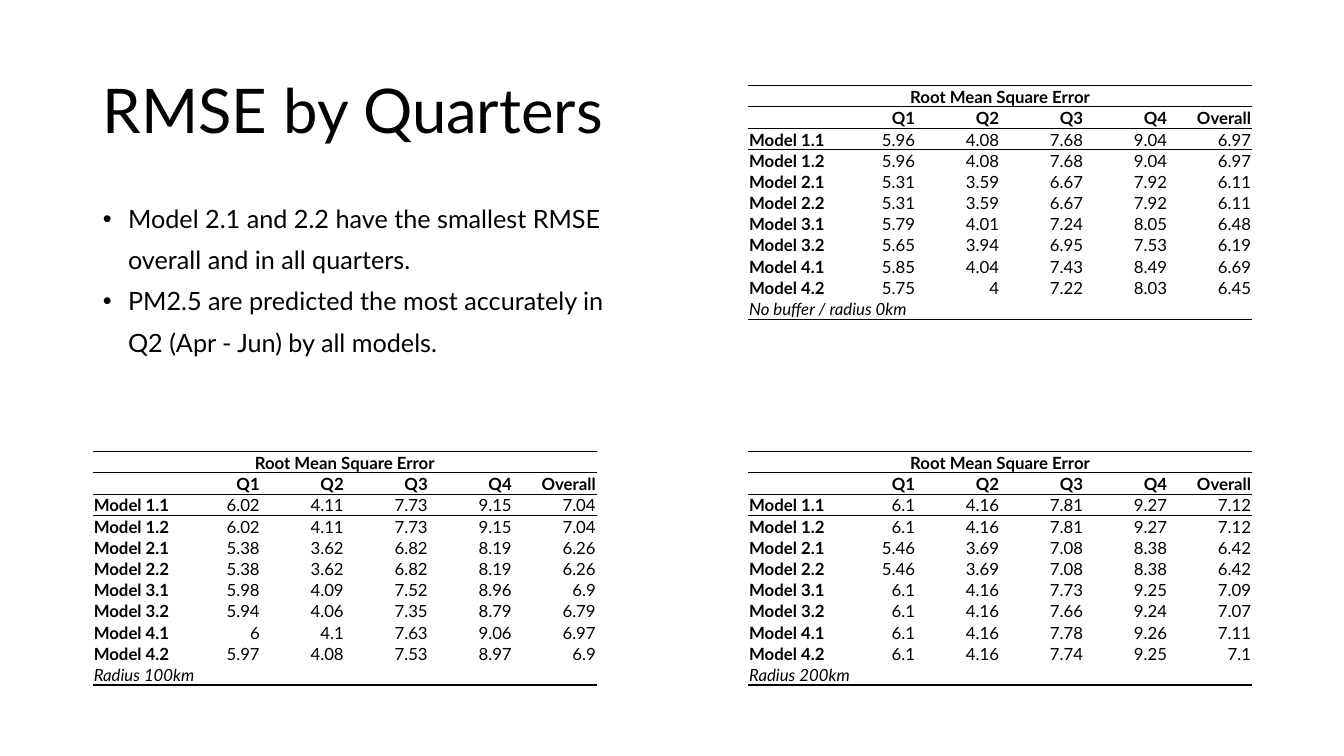
from dataclasses import dataclass

from lxml import etree
from pptx import Presentation
from pptx import util as u
from pptx.dml.color import RGBColor
from pptx.enum import text
from pptx.oxml import ns


@dataclass(frozen=True)
class Theme:
    font: str = "Lato"
    ink: str = "000000"
    title: int = 44
    body: int = 18
    cell: int = 12
    rule: int = 1


THEME = Theme()
NO_STYLE = "{2D5ABB26-0587-4C30-8999-92F81FD0307C}"
LEFT, RIGHT = text.PP_ALIGN.LEFT, text.PP_ALIGN.RIGHT

BULLETS = [
    ("Model 2.1 and 2.2 have the smallest RMSE", True),
    ("overall and in all quarters.", False),
    ("PM2.5 are predicted the most accurately in", True),
    ("Q2 (Apr - Jun) by all models.", False),
]

HEADING = "Root Mean Square Error"
QUARTERS = ["", "Q1", "Q2", "Q3", "Q4", "Overall"]
MODELS = [f"Model {n}.{v}" for n in range(1, 5) for v in (1, 2)]

# Left, top, footnote and one line of values per model
TABLES = [
    (7.42, 0.85, "No buffer / radius 0km", """
        5.96 4.08 7.68 9.04 6.97
        5.96 4.08 7.68 9.04 6.97
        5.31 3.59 6.67 7.92 6.11
        5.31 3.59 6.67 7.92 6.11
        5.79 4.01 7.24 8.05 6.48
        5.65 3.94 6.95 7.53 6.19
        5.85 4.04 7.43 8.49 6.69
        5.75 4 7.22 8.03 6.45"""),
    (0.92, 4.48, "Radius 100km", """
        6.02 4.11 7.73 9.15 7.04
        6.02 4.11 7.73 9.15 7.04
        5.38 3.62 6.82 8.19 6.26
        5.38 3.62 6.82 8.19 6.26
        5.98 4.09 7.52 8.96 6.9
        5.94 4.06 7.35 8.79 6.79
        6 4.1 7.63 9.06 6.97
        5.97 4.08 7.53 8.97 6.9"""),
    (7.42, 4.48, "Radius 200km", """
        6.1 4.16 7.81 9.27 7.12
        6.1 4.16 7.81 9.27 7.12
        5.46 3.69 7.08 8.38 6.42
        5.46 3.69 7.08 8.38 6.42
        6.1 4.16 7.73 9.25 7.09
        6.1 4.16 7.66 9.24 7.07
        6.1 4.16 7.78 9.26 7.11
        6.1 4.16 7.74 9.25 7.1"""),
]


def set_attrs(obj, values):
    for name, value in values.items():
        setattr(obj, name, value)


def add_run(p, content, size, **style):
    r = p.add_run()
    r.text = content
    set_attrs(r.font, {"name": THEME.font, "size": u.Pt(size), **style})
    r.font.color.rgb = RGBColor.from_string(THEME.ink)


def place(sp, left, top, width, height):
    set_attrs(sp, {"left": u.Inches(left), "top": u.Inches(top),
                   "width": u.Inches(width), "height": u.Inches(height)})
    set_attrs(sp.text_frame, {"word_wrap": True,
                              "auto_size": text.MSO_AUTO_SIZE.NONE})


def fill_title(sp):
    place(sp, 0.92, 0.4, 11.5, 1.45)
    sp.text_frame.vertical_anchor = text.MSO_ANCHOR.MIDDLE
    p = sp.text_frame.paragraphs[0]
    set_attrs(p, {"alignment": LEFT, "line_spacing": 0.9})
    add_run(p, "RMSE by Quarters", THEME.title)


def set_bullet(p, bulleted):
    pPr = p._p.get_or_add_pPr()
    pPr.set("marL", str(u.Inches(0.25 if bulleted else 0)))
    pPr.set("indent", str(u.Inches(-0.25 if bulleted else 0.25)))
    if bulleted:
        etree.SubElement(pPr, ns.qn("a:buFont"), typeface="Arial")
        etree.SubElement(pPr, ns.qn("a:buChar"), char="•")
    else:
        etree.SubElement(pPr, ns.qn("a:buNone"))


def fill_body(sp):
    place(sp, 0.92, 2, 11.5, 4.76)
    tf = sp.text_frame
    tf.vertical_anchor = text.MSO_ANCHOR.TOP
    for i, (line, bulleted) in enumerate(BULLETS):
        p = tf.add_paragraph() if i else tf.paragraphs[0]
        set_bullet(p, bulleted)
        set_attrs(p, {"alignment": LEFT, "line_spacing": 0.9,
                      "space_before": u.Pt(10 if i else 0)})
        add_run(p, line, THEME.body)


def add_rule(cell, side):
    ln = etree.SubElement(cell._tc.get_or_add_tcPr(), ns.qn(f"a:{side}"),
                          w=str(u.Pt(THEME.rule)))
    fill = etree.SubElement(ln, ns.qn("a:solidFill"))
    etree.SubElement(fill, ns.qn("a:srgbClr"), val=THEME.ink)


def fill_cell(cell, content, align, **style):
    set_attrs(cell, {"margin_left": u.Inches(0.01), "margin_right": u.Inches(0.01),
                     "margin_top": u.Inches(0.01), "margin_bottom": 0})
    p = cell.text_frame.paragraphs[0]
    p.alignment = align
    if content:
        add_run(p, content, THEME.cell, **style)
    else:
        # Keeps the empty cell as low as its row
        etree.SubElement(p._p, ns.qn("a:endParaRPr"), sz=str(THEME.cell * 100))


def add_rmse_table(s, left, top, note, values):
    blank = [""] * (len(QUARTERS) - 1)
    lines = [v.split() for v in values.strip().splitlines()]
    rows = [[HEADING] + blank, QUARTERS,
            *([m] + line for m, line in zip(MODELS, lines)), [note] + blank]
    last = len(rows) - 1
    frame = s.shapes.add_table(len(rows), len(QUARTERS), u.Inches(left),
                               u.Inches(top), u.Inches(5), u.Inches(2.29))
    table = frame.table
    set_attrs(table, {"first_row": False, "horz_banding": False})
    table._tbl.tblPr.find(ns.qn("a:tableStyleId")).text = NO_STYLE

    for i, row in enumerate(rows):
        for j, content in enumerate(row):
            cell = table.cell(i, j)
            align = text.PP_ALIGN.CENTER if i == 0 else RIGHT if j else LEFT
            bold = i < 2 or (j == 0 and i < last)
            fill_cell(cell, content, align, bold=bold, italic=i == last)
            # Rules around both header rows and under the footnote
            if i <= 2:
                add_rule(cell, "lnT")
            if i in (0, 1, last):
                add_rule(cell, "lnB")
            cell.fill.background()
    for i in (0, last):
        table.cell(i, 0).merge(table.cell(i, len(QUARTERS) - 1))


def main():
    prs = Presentation()
    prs.slide_width, prs.slide_height = u.Inches(13.33), u.Inches(7.5)
    s = prs.slides.add_slide(prs.slide_layouts[1])
    fill_title(s.shapes.title)
    fill_body(s.placeholders[1])
    for spec_row in TABLES:
        add_rmse_table(s, *spec_row)
    prs.save("out.pptx")


if __name__ == "__main__":
    main()
